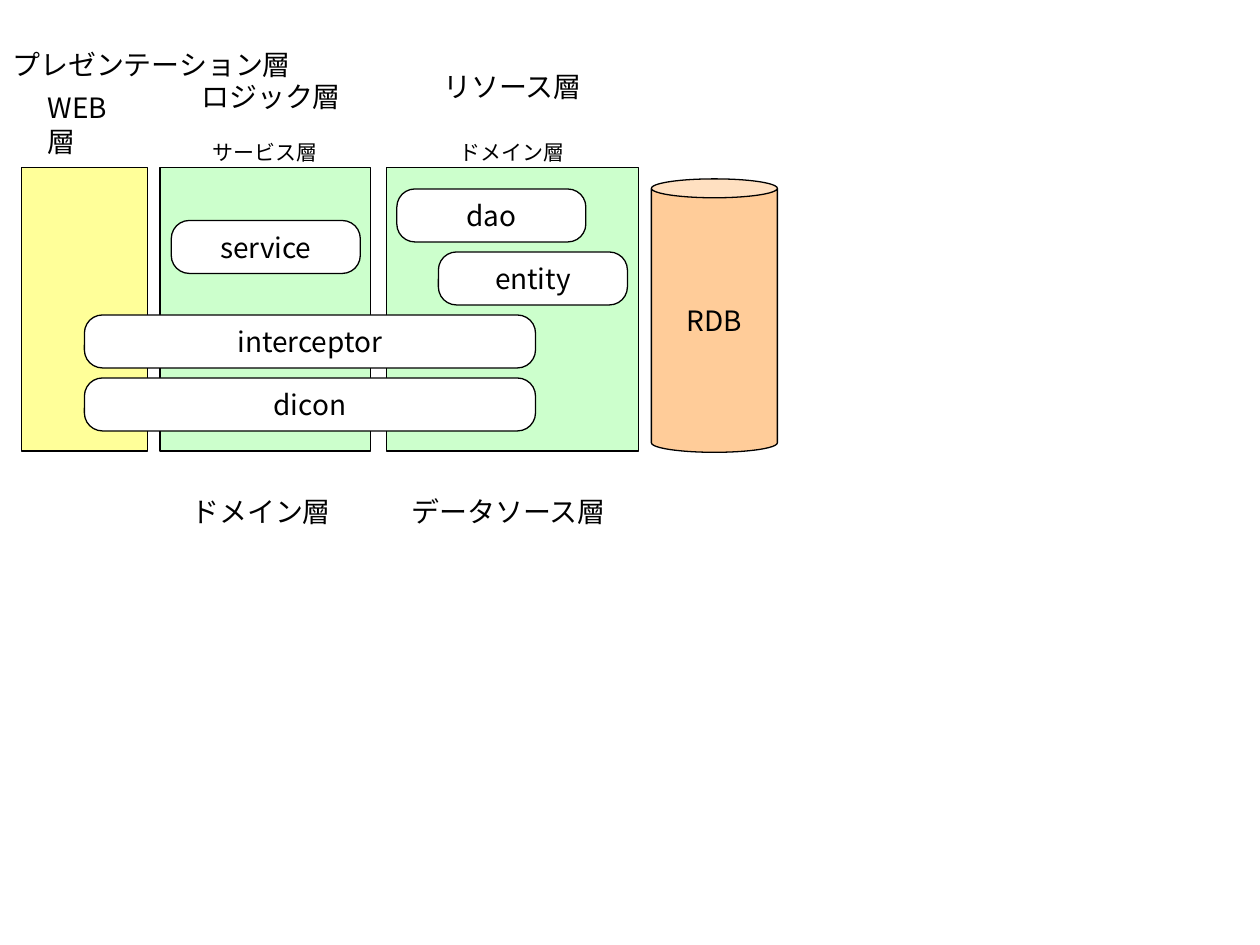
from dataclasses import dataclass

from lxml import etree
from pptx import Presentation
from pptx.dml.color import RGBColor
from pptx.enum.shapes import MSO_SHAPE
from pptx.enum.text import MSO_ANCHOR, PP_ALIGN
from pptx.oxml.ns import qn
from pptx.util import Inches, Pt

RECTANGLE = MSO_SHAPE.RECTANGLE
ROUNDED = MSO_SHAPE.ROUNDED_RECTANGLE
CAN = MSO_SHAPE.CAN
MIDDLE = MSO_ANCHOR.MIDDLE
CENTER = PP_ALIGN.CENTER
LEFT = PP_ALIGN.LEFT


@dataclass(frozen=True)
class Theme:
    black: RGBColor = RGBColor(0, 0, 0)
    white: RGBColor = RGBColor(255, 255, 255)
    green: RGBColor = RGBColor(0xCC, 0xFF, 0xCC)
    yellow: RGBColor = RGBColor(0xFF, 0xFF, 0x99)
    orange: RGBColor = RGBColor(0xFF, 0xCC, 0x99)
    sans: str = "Noto Sans CJK JP"
    serif: str = "Times New Roman"
    body: Pt = Pt(16)
    small: Pt = Pt(12)
    line: Pt = Pt(0.75)


THEME = Theme()
LAYER_TOP, LAYER_HEIGHT = 1.33, 2.25
COMPONENT_WIDTH, COMPONENT_HEIGHT = 1.5, 0.42


def write_text(shape, text, size, font_name, alignment):
    paragraph = shape.text_frame.paragraphs[0]
    paragraph.text = text
    paragraph.alignment = alignment
    font = paragraph.font
    font.size = size
    font.name = font_name
    font.color.rgb = THEME.black
    # Japanese characters take the East Asian typeface
    properties = paragraph._p.pPr.find(qn("a:defRPr"))
    etree.SubElement(properties, qn("a:ea"), typeface=THEME.sans)


def add_box(slide, kind, box, fill, text=None, adjustment=None):
    shape = slide.shapes.add_shape(kind, *map(Inches, box))
    shape.shadow.inherit = False
    shape.fill.solid()
    shape.fill.fore_color.rgb = fill
    shape.line.color.rgb = THEME.black
    shape.line.width = THEME.line
    if adjustment is not None:
        shape.adjustments[0] = adjustment
    if text:
        shape.text_frame.word_wrap = False
        shape.text_frame.vertical_anchor = MIDDLE
        write_text(shape, text, THEME.body, THEME.sans, CENTER)


def add_component(slide, left, top, text, width=COMPONENT_WIDTH):
    box = (left, top, width, COMPONENT_HEIGHT)
    add_box(slide, ROUNDED, box, THEME.white, text, 0.34)


def add_label(slide, box, text, font_name=THEME.serif, size=THEME.body, wrap=False):
    label = slide.shapes.add_textbox(*map(Inches, box))
    label.text_frame.word_wrap = wrap
    write_text(label, text, size, font_name, LEFT)


def add_layer(slide, box, title, title_left, components):
    """Green layer with a small title above and components placed inside it."""
    left, top = box[:2]
    add_box(slide, RECTANGLE, box, THEME.green)
    for text, offset_x, offset_y in components:
        add_component(slide, left + offset_x, top + offset_y, text)
    add_label(slide, (title_left, top - 0.27, 1.03, 0.3), title, size=THEME.small)


def add_shared_components(slide, left, top, width):
    """Components that span all the layers."""
    for row, text in enumerate(("interceptor", "dicon")):
        add_component(slide, left, top + row * 0.5, text, width)


def add_layer_names(slide):
    add_label(slide, (0.28, 0.67, 0.87, 0.37), "WEB層", THEME.sans, wrap=True)
    add_label(slide, (0, 0.33, 2.41, 0.37), "プレゼンテーション層", THEME.sans)
    for left, top, width, text in (
        (1.5, 0.58, 1.31, "ロジック層"),
        (3.42, 0.5, 1.31, "リソース層"),
        (1.42, 3.88, 1.31, "ドメイン層"),
        (3.17, 3.88, 1.75, "データソース層"),
    ):
        add_label(slide, (left, top, width, 0.37), text)


def main():
    presentation = Presentation()
    presentation.slide_width = Inches(10)
    presentation.slide_height = Inches(7.5)
    slide = presentation.slides.add_slide(presentation.slide_layouts[6])

    # Domain, service and web layers
    add_layer(slide, (3.07, LAYER_TOP, 2, LAYER_HEIGHT), "ドメイン層", 3.55,
              [("dao", 0.08, 0.17), ("entity", 0.41, 0.67)])
    add_layer(slide, (1.27, LAYER_TOP, 1.67, LAYER_HEIGHT), "サービス層", 1.59,
              [("service", 0.09, 0.42)])
    add_box(slide, RECTANGLE, (0.17, LAYER_TOP, 1, LAYER_HEIGHT), THEME.yellow)

    # Database
    add_box(slide, CAN, (5.17, 1.42, 1, 2.17), THEME.orange, "RDB", 0.15)

    add_shared_components(slide, 0.67, 2.5, 3.58)
    add_layer_names(slide)
    presentation.save("out.pptx")


if __name__ == "__main__":
    main()
